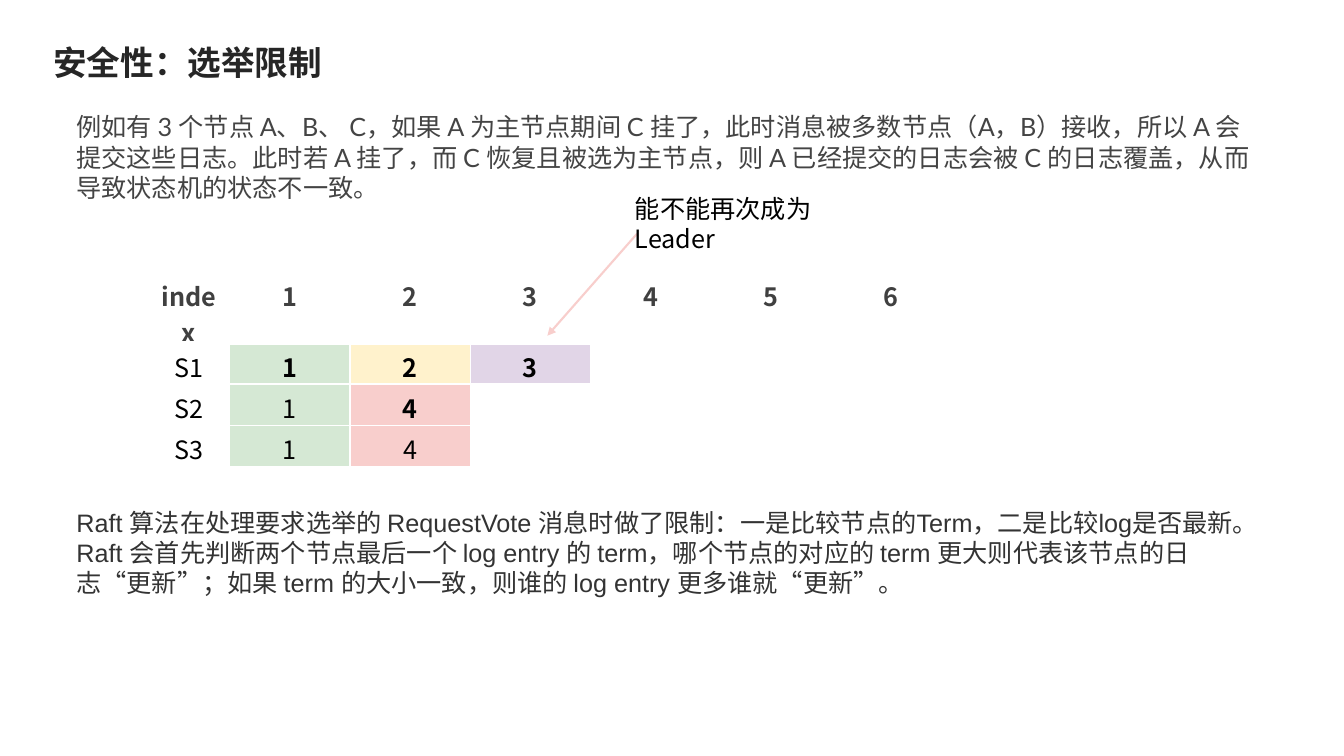
from dataclasses import dataclass

from lxml.etree import SubElement
from pptx import Presentation
from pptx.dml.color import RGBColor
from pptx.enum.shapes import MSO_CONNECTOR as Connector
from pptx.enum.text import MSO_AUTO_SIZE as AutoSize, PP_ALIGN as Align
from pptx.oxml.ns import qn
from pptx.slide import Slide
from pptx.table import _Cell as Cell
from pptx.text.text import TextFrame
from pptx.util import Pt


@dataclass(frozen=True)
class Theme:
    white: str = "FFFFFF"
    black: str = "000000"
    title: str = "262626"
    intro: str = "444444"
    rule: str = "333333"
    header: str = "404040"
    green: str = "D5E8D4"
    yellow: str = "FFF2CC"
    purple: str = "E1D5E7"
    red: str = "F8CECC"
    cjk_font: str = "Noto Sans CJK SC"
    title_size: float = 24
    body_size: float = 18
    line_spacing: float = 1.2


THEME = Theme()


@dataclass(frozen=True)
class TextPiece:
    text: str
    font: str = THEME.cjk_font


@dataclass(frozen=True)
class TextBlock:
    left: float
    top: float
    width: float
    height: float
    paragraphs: list[list[TextPiece]]
    color: str
    size: float = THEME.body_size
    bold: bool = False
    wrap: bool = True


@dataclass(frozen=True)
class LogEntry:
    text: str = ""
    fill: str = THEME.white
    bold: bool = False
    color: str = THEME.black


INTRO = (
    "例如有 3 个节点 A、B、 C，如果 A 为主节点期间 C 挂了，此时消息被多数节点（A，B）接收，"
    "所以 A 会提交这些日志。此时若 A 挂了，而 C 恢复且被选为主节点，则 A 已经提交的日志会被 C 的"
    "日志覆盖，从而导致状态机的状态不一致。"
)
RULES = [
    "Raft 算法在处理要求选举的 RequestVote 消息时做了限制：一是比较节点的Term，二是比较log是否最新。",
    "Raft 会首先判断两个节点最后一个 log entry 的 term，哪个节点的对应的 term 更大则代表该节点的日志“更新”；"
    "如果 term 的大小一致，则谁的 log entry 更多谁就“更新”。",
]

TITLE_BLOCK = TextBlock(
    31, 26.6, 208, 36,
    [[TextPiece("安全性：", "Roboto Slab"), TextPiece("选举限制")]],
    THEME.title, size=THEME.title_size, bold=True, wrap=False,
)
INTRO_BLOCK = TextBlock(47.5, 76.3, 856.8, 72.7, [[TextPiece(INTRO, "Lato")]], THEME.intro)
NOTE_BLOCK = TextBlock(446.4, 134.6, 194.4, 28.8, [[TextPiece("能不能再次成为Leader")]], THEME.black)
RULE_BLOCK = TextBlock(
    47.5, 358.6, 856.8, 72.7, [[TextPiece(rule, "Arial")] for rule in RULES], THEME.rule
)

LOG_ROWS = [
    [LogEntry(label, bold=True, color=THEME.header) for label in ("index", *"123456")],
    [
        LogEntry("S1"),
        LogEntry("1", THEME.green, True),
        LogEntry("2", THEME.yellow, True),
        LogEntry("3", THEME.purple, True),
    ],
    [LogEntry("S2"), LogEntry("1", THEME.green), LogEntry("4", THEME.red, True)],
    [LogEntry("S3"), LogEntry("1", THEME.green), LogEntry("4", THEME.red)],
]
LABEL_WIDTH = 58.3
INDEX_WIDTH = 85.9
ROW_HEIGHT = 29.5


def write_text(
    frame: TextFrame,
    paragraphs: list[list[TextPiece]],
    *,
    color: str,
    size: float = THEME.body_size,
    bold: bool = False,
    align: Align = Align.LEFT,
    line_height: float | None = None,
) -> None:
    for number, pieces in enumerate(paragraphs):
        paragraph = frame.add_paragraph() if number else frame.paragraphs[0]
        paragraph.alignment = align
        if line_height:
            paragraph.line_spacing = Pt(line_height)
        for piece in pieces:
            run = paragraph.add_run()
            run.text = piece.text
            run.font.name = piece.font
            run.font.size = Pt(size)
            run.font.bold = bold
            run.font.color.rgb = RGBColor.from_string(color)
            SubElement(run.font._element, qn("a:ea"), typeface=THEME.cjk_font)


def add_text_block(slide: Slide, block: TextBlock) -> None:
    shape = slide.shapes.add_textbox(
        Pt(block.left), Pt(block.top), Pt(block.width), Pt(block.height)
    )
    frame = shape.text_frame
    frame.word_wrap = block.wrap
    frame.auto_size = AutoSize.SHAPE_TO_FIT_TEXT
    write_text(
        frame, block.paragraphs, color=block.color, size=block.size, bold=block.bold,
        line_height=block.size * THEME.line_spacing,
    )


def set_borders(cell: Cell, top: float, bottom: float) -> None:
    properties = cell._tc.get_or_add_tcPr()
    widths = {"a:lnL": 1, "a:lnR": 1, "a:lnT": top, "a:lnB": bottom}
    for position, (tag, width) in enumerate(widths.items()):
        line = SubElement(properties, qn(tag), w=str(Pt(width)))
        fill = SubElement(line, qn("a:solidFill"))
        SubElement(fill, qn("a:srgbClr"), val=THEME.white)
        properties.insert(position, line)


def add_log_table(slide: Slide) -> None:
    column_count = len(LOG_ROWS[0])
    table = slide.shapes.add_table(
        len(LOG_ROWS), column_count, Pt(105.8), Pt(194.4),
        Pt(LABEL_WIDTH + INDEX_WIDTH * (column_count - 1)), Pt(138.2),
    ).table
    table.first_row = False
    table.horz_banding = False
    for number, column in enumerate(table.columns):
        column.width = Pt(INDEX_WIDTH if number else LABEL_WIDTH)
    for row_number, entries in enumerate(LOG_ROWS):
        table.rows[row_number].height = Pt(ROW_HEIGHT)
        padding = [LogEntry()] * (column_count - len(entries))
        for column_number, entry in enumerate(entries + padding):
            cell = table.cell(row_number, column_number)
            cell.fill.solid()
            cell.fill.fore_color.rgb = RGBColor.from_string(entry.fill)
            set_borders(cell, 3 if row_number == 1 else 1, 3 if row_number == 0 else 1)
            if entry.text:
                write_text(
                    cell.text_frame, [[TextPiece(entry.text)]],
                    color=entry.color, bold=entry.bold, align=Align.CENTER,
                )


def add_arrow(slide: Slide) -> None:
    arrow = slide.shapes.add_connector(
        Connector.STRAIGHT, Pt(455), Pt(167), Pt(391), Pt(239.8)
    )
    arrow.line.color.rgb = RGBColor.from_string(THEME.red)
    arrow.line.width = Pt(1.5)
    SubElement(arrow.line._get_or_add_ln(), qn("a:tailEnd"), type="triangle")
    SubElement(arrow._element.spPr, qn("a:effectLst"))


def main() -> None:
    presentation = Presentation()
    presentation.slide_width = Pt(960)
    presentation.slide_height = Pt(540)
    slide = presentation.slides.add_slide(presentation.slide_layouts[6])
    add_text_block(slide, TITLE_BLOCK)
    add_text_block(slide, INTRO_BLOCK)
    add_log_table(slide)
    add_arrow(slide)
    add_text_block(slide, NOTE_BLOCK)
    add_text_block(slide, RULE_BLOCK)
    presentation.save("out.pptx")


if __name__ == "__main__":
    main()
